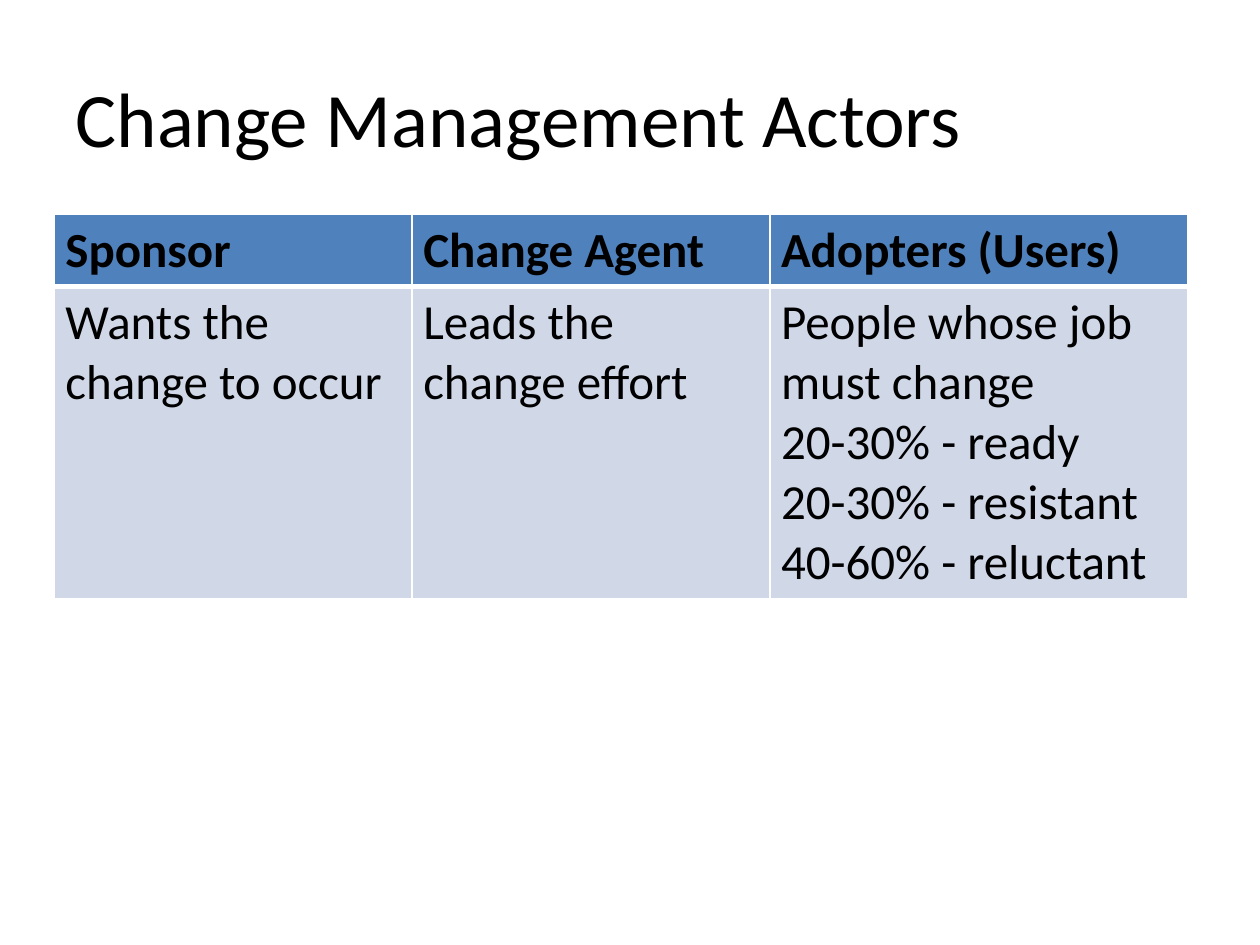
from lxml.etree import SubElement
from pptx import Presentation
from pptx.dml.color import RGBColor
from pptx.enum.text import MSO_ANCHOR, PP_ALIGN
from pptx.oxml.ns import qn
from pptx.util import Inches, Pt

BLACK = RGBColor(0x00, 0x00, 0x00)
WHITE = RGBColor(0xFF, 0xFF, 0xFF)
HEADER_BLUE = RGBColor(0x4F, 0x81, 0xBD)
BODY_BLUE = RGBColor(0xD0, 0xD8, 0xE8)
FONT = "Calibri"

COLUMN_WIDTHS = [2.84, 2.84, 3.32]
ROW_HEIGHT = 0.41
ACTORS = [
    ("Sponsor", ["Wants the change to occur"]),
    ("Change Agent", ["Leads the change effort"]),
    ("Adopters (Users)", [
        "People whose job must change",
        "20-30% - ready",
        "20-30% - resistant",
        "40-60% - reluctant",
    ]),
]


def style_paragraph(p, size, bold=False):
    p.alignment = PP_ALIGN.LEFT
    p.font.name = FONT
    p.font.size = Pt(size)
    p.font.bold = bold
    p.font.color.rgb = BLACK


def add_title(slide, text):
    title = slide.shapes.title
    title.left, title.top = Inches(0.5), Inches(0.3)
    title.width, title.height = Inches(9), Inches(1.25)
    tf = title.text_frame
    tf.vertical_anchor = MSO_ANCHOR.MIDDLE
    tf.text = text
    style_paragraph(tf.paragraphs[0], 44)


def set_borders(cell, top, bottom):
    tcPr = cell._tc.get_or_add_tcPr()
    for side, width in (("L", 1), ("R", 1), ("T", top), ("B", bottom)):
        ln = SubElement(tcPr, qn(f"a:ln{side}"), w=str(Pt(width)))
        fill = SubElement(ln, qn("a:solidFill"))
        SubElement(fill, qn("a:srgbClr"), val=str(WHITE))


def fill_cell(cell, lines, color, bold=False, top=1, bottom=1):
    set_borders(cell, top, bottom)
    cell.fill.solid()
    cell.fill.fore_color.rgb = color
    cell.margin_left = cell.margin_right = Inches(0.09)
    cell.margin_top = cell.margin_bottom = Inches(0.05)
    cell.text_frame.text = "\n".join(lines)
    for p in cell.text_frame.paragraphs:
        style_paragraph(p, 28, bold)


def add_actor_table(slide):
    table = slide.shapes.add_table(
        2, len(ACTORS), Inches(0.43), Inches(1.7),
        Inches(sum(COLUMN_WIDTHS)), Inches(2 * ROW_HEIGHT),
    ).table
    for column, width in zip(table.columns, COLUMN_WIDTHS):
        column.width = Inches(width)
    for i, (actor, role) in enumerate(ACTORS):
        fill_cell(table.cell(0, i), [actor], HEADER_BLUE, bold=True, bottom=3)
        fill_cell(table.cell(1, i), role, BODY_BLUE, top=3)


def main():
    prs = Presentation()
    prs.slide_width, prs.slide_height = Inches(10), Inches(7.5)
    slide = prs.slides.add_slide(prs.slide_layouts[5])
    add_actor_table(slide)
    add_title(slide, "Change Management Actors")
    prs.save("out.pptx")


if __name__ == "__main__":
    main()
